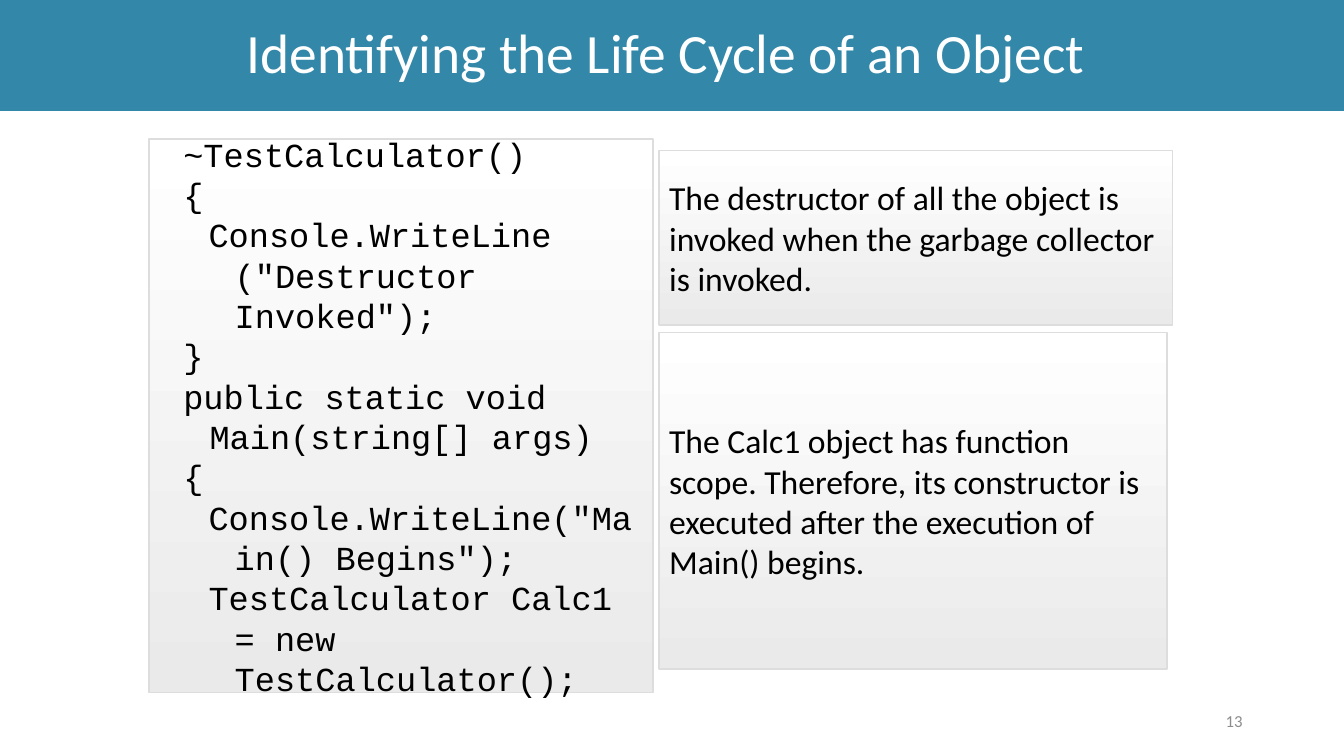
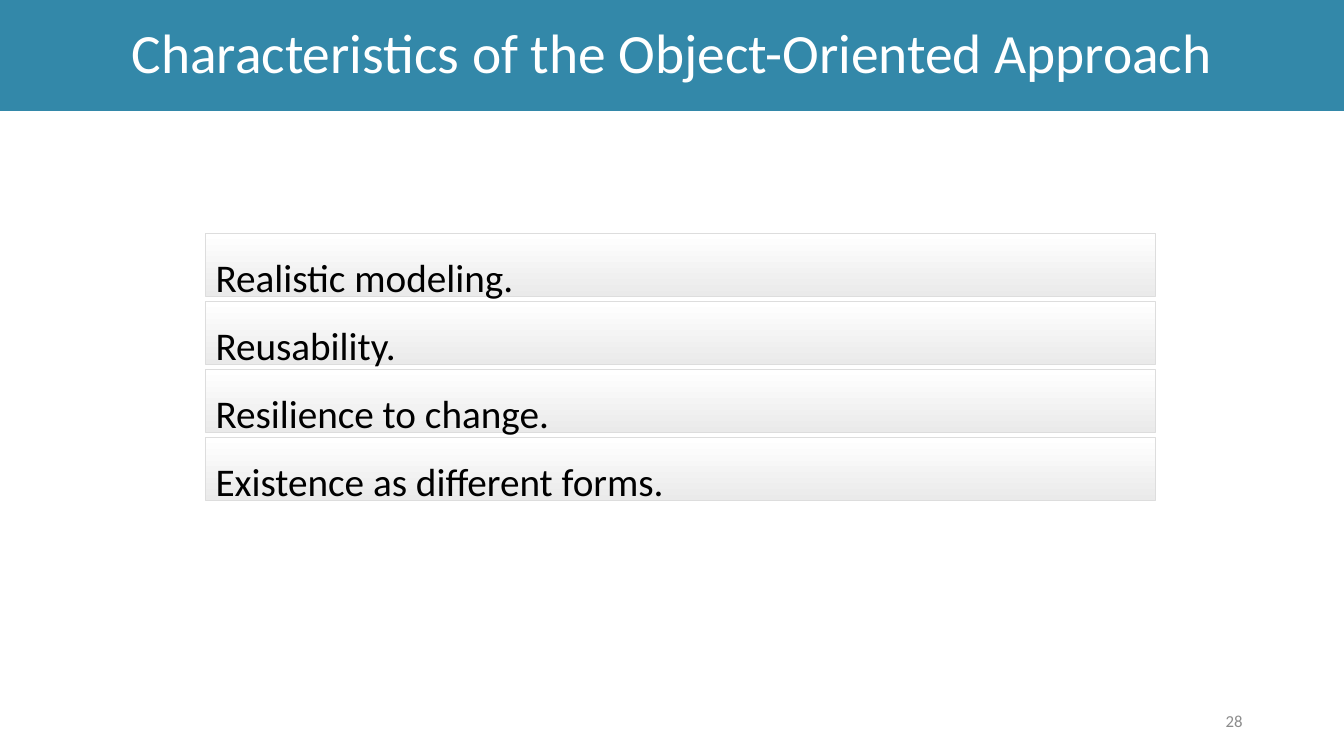
import pptx
import pptx.dml.color
import pptx.enum.shapes
import pptx.enum.text
import pptx.util

COLORS = {"band": "3388A9", "title": "FFFFFF", "text": "000000", "number": "8C8C8C",
          "panel_top": "FFFFFF", "panel_bottom": "EAEAEA", "border": "DDDDDD"}
BODY_FONT = "Calibri"
CODE_FONT = "Courier New"
ALIGN = pptx.enum.text.PP_ALIGN


def rgb(name):
    """Return the named colour."""
    return pptx.dml.color.RGBColor.from_string(COLORS[name])


class Deck:
    """Holds the shared style and the current slide; lengths are percentages of the slide."""

    def __init__(self):
        """Start a widescreen presentation."""
        self.prs = pptx.Presentation()
        self.prs.slide_width = pptx.util.Inches(13.33)
        self.prs.slide_height = pptx.util.Inches(7.5)
        self.s = None

    def box(self, x, y, w, h):
        """Turn percentages of the slide into left, top, width and height."""
        sw, sh = self.prs.slide_width, self.prs.slide_height
        return [round(v * size / 100) for v, size in ((x, sw), (y, sh), (w, sw), (h, sh))]

    def frame(self, sp):
        """Prepare a wrapped, vertically centred text frame."""
        tf = sp.text_frame
        tf.word_wrap = True
        tf.auto_size = pptx.enum.text.MSO_AUTO_SIZE.NONE
        tf.vertical_anchor = pptx.enum.text.MSO_ANCHOR.MIDDLE
        return tf

    def add_text(self, p, text, size, color="text", font=BODY_FONT, align=ALIGN.LEFT, spacing=1.0):
        """Add one formatted run to a paragraph."""
        p.alignment = align
        p.line_spacing = spacing
        r = p.add_run()
        r.text = text
        r.font.size = pptx.util.Pt(size)
        r.font.name = font
        r.font.color.rgb = rgb(color)

    def slide(self, title, number):
        """Add a slide with its title band and number."""
        self.s = self.prs.slides.add_slide(self.prs.slide_layouts[5])
        sp = self.s.shapes.title
        sp.left, sp.top, sp.width, sp.height = self.box(0, 0, 100, 14.67)
        sp.fill.solid()
        sp.fill.fore_color.rgb = rgb("band")
        self.add_text(self.frame(sp).paragraphs[0], title, 39.6, "title",
                      align=ALIGN.CENTER, spacing=0.9)
        sp = self.s.shapes.add_textbox(*self.box(70.7, 92.7, 22.5, 5.3))
        self.add_text(self.frame(sp).paragraphs[0], str(number), 12, "number", align=ALIGN.RIGHT)

    def panel(self, x, y, w, h):
        """Add a bordered gradient panel and return its text frame."""
        sp = self.s.shapes.add_shape(pptx.enum.shapes.MSO_SHAPE.RECTANGLE, *self.box(x, y, w, h))
        sp.shadow.inherit = False
        sp.fill.gradient()
        sp.fill.gradient_angle = 270
        for stop, color in zip(sp.fill.gradient_stops, ("panel_top", "panel_bottom")):
            stop.color.rgb = rgb(color)
        sp.line.color.rgb = rgb("border")
        sp.line.width = pptx.util.Pt(1)
        return self.frame(sp)

    def note(self, text, x, y, w, h, size=24, spacing=1.0):
        """Add a panel with one paragraph."""
        self.add_text(self.panel(x, y, w, h).paragraphs[0], text, size, spacing=spacing)

    def code(self, lines, x, y, w, h):
        """Add a panel of code lines, each with a nesting level and hanging indent."""
        tf = self.panel(x, y, w, h)
        for i, (level, text) in enumerate(lines):
            p = tf.add_paragraph() if i else tf.paragraphs[0]
            p.level = level
            pPr = p._p.get_or_add_pPr()
            pPr.set("marL", str(pptx.util.Inches(0.25 + 0.25 * level)))
            pPr.set("indent", str(pptx.util.Inches(-0.26)))
            self.add_text(p, text, 24, font=CODE_FONT)


def main():
    """Build and save both slides."""
    deck = Deck()

    deck.slide("Identifying the Life Cycle of an Object ", 13)
    deck.code([(1, "~TestCalculator()"),
               (1, "{"),
               (2, 'Console.WriteLine ("Destructor Invoked");'),
               (1, "}"),
               (1, "public static void Main(string[] args)"),
               (1, "{"),
               (2, 'Console.WriteLine("Main() Begins");'),
               (2, "TestCalculator Calc1 = new TestCalculator();")],
              11.1, 18.4, 37.5, 73.2)
    deck.note("The destructor of all the object is invoked when the garbage collector "
              "is invoked.", 49.05, 19.9, 38.2, 23.1)
    deck.note("The Calc1 object has function scope. Therefore, its constructor is executed "
              "after the execution of Main() begins.", 49.05, 44, 37.8, 44.5)

    deck.slide("Characteristics of the Object-Oriented Approach", 28)
    traits = ["Realistic modeling.", "Reusability.", "Resilience to change.",
              "Existence as different forms."]
    for i, trait in enumerate(traits):
        deck.note(trait, 15.3, 30.9 + 9 * i, 70.7, 8.3, size=28, spacing=1.5)

    deck.prs.save("out.pptx")


if __name__ == "__main__":
    main()
